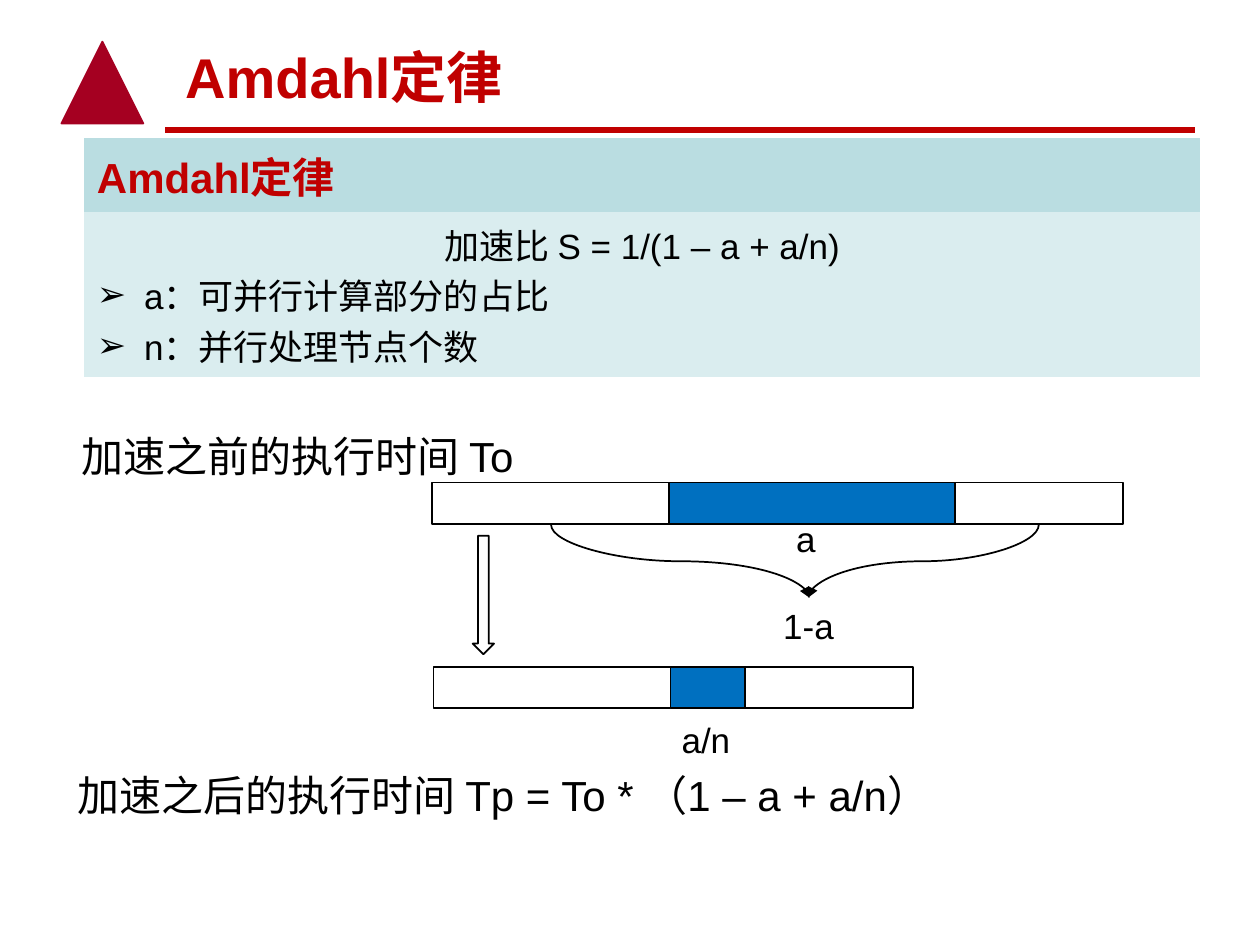
"""Build the slide on Amdahl's law with its formula table and timing bars."""
from lxml.etree import SubElement
from pptx import Presentation
from pptx.dml.color import RGBColor
from pptx.enum.shapes import MSO_CONNECTOR as CONN, MSO_SHAPE as SHAPE
from pptx.enum.text import MSO_ANCHOR as ANCHOR, MSO_AUTO_SIZE as AUTO, PP_ALIGN as ALIGN
from pptx.oxml.ns import qn
from pptx.util import Cm, Pt


def rgb(value):
    """Turn a hex string into a colour."""
    return RGBColor.from_string(value)


def write(p, text, color="000000", **fmt):
    """Add one formatted run to a paragraph."""
    r = p.add_run()
    r.text = text
    r.font.color.rgb = rgb(color)
    for name, value in {"name": "Arial", "bold": False, **fmt}.items():
        setattr(r.font, name, value)


prs = Presentation()
prs.slide_width, prs.slide_height = Cm(25.4), Cm(19.05)
s = prs.slides.add_slide(prs.slide_layouts[5])

title = s.shapes.title
box = {"left": Cm(3.48), "top": Cm(0.64), "width": Cm(20.32), "height": Cm(1.7)}
for name, value in box.items():
    setattr(title, name, value)
tf = title.text_frame
tf.vertical_anchor = ANCHOR.BOTTOM
tf.paragraphs[0].alignment = ALIGN.LEFT
write(tf.paragraphs[0], "Amdahl定律", "C00000", size=Pt(32), bold=True)

tbl = s.shapes.add_table(2, 1, Cm(1.7), Cm(2.79), Cm(22.5), Cm(4.6)).table
tbl._tbl.tblPr.find(qn("a:tableStyleId")).text = "{2D5ABB26-0587-4C30-8999-92F81FD0307C}"
for i, (height, fill) in enumerate([(1.42, "BADDE1"), (3.18, "DAEDEF")]):
    tbl.rows[i].height = Cm(height)
    cell = tbl.cell(i, 0)
    cell.fill.solid()
    cell.fill.fore_color.rgb = rgb(fill)
    cell.vertical_anchor = ANCHOR.MIDDLE
write(tbl.cell(0, 0).text_frame.paragraphs[0], "Amdahl定律", "C00000", size=Pt(24), bold=True)
tf = tbl.cell(1, 0).text_frame
p = tf.paragraphs[0]
p.alignment = ALIGN.CENTER
write(p, "加速比 S = 1/(1 – a + a/n)", size=Pt(20))
for text in ["a：可并行计算部分的占比", "n：并行处理节点个数"]:
    p = tf.add_paragraph()
    pPr = p._p.get_or_add_pPr()
    pPr.set("marL", str(Cm(0.95)))
    pPr.set("indent", str(-Cm(0.95)))
    SubElement(pPr, qn("a:buFont"), typeface="Arial")
    SubElement(pPr, qn("a:buChar"), char="➢")
    write(p, text, size=Pt(20))

shapes = [
    (SHAPE.ISOSCELES_TRIANGLE, 1.24, 0.84, 1.65, 1.65, "A50021", "A50021"),
    (SHAPE.DOWN_ARROW, 9.53, 10.8, 0.43, 2.39, None, "000000"),
]
for x, y, widths in [(8.71, 9.73, (4.78, 5.77, 3.38)), (8.74, 13.44, (4.78, 1.5, 3.38))]:
    for w, fill in zip(widths, (None, "0070C0", None)):
        shapes.append((SHAPE.RECTANGLE, x, y, w, 0.84, fill, "000000"))
        x += w
for kind, x, y, w, h, fill, line in shapes:
    sp = s.shapes.add_shape(kind, Cm(x), Cm(y), Cm(w), Cm(h))
    sp.shadow.inherit = False
    sp.line.color.rgb = rgb(line)
    sp.line.width = Pt(1)
    if fill:
        sp.fill.solid()
        sp.fill.fore_color.rgb = rgb(fill)
    else:
        sp.fill.background()

for kind, x1, y1, x2, y2, color, width, turn in [
    (CONN.STRAIGHT, 3.33, 2.62, 24.08, 2.62, "C00000", 3, 0),
    (CONN.CURVE, 14.45, 8.71, 12.98, 13.92, "000000", 1, 270),
    (CONN.CURVE, 17.88, 8.99, 19.35, 13.64, "000000", 1, 90),
]:
    sp = s.shapes.add_connector(kind, Cm(x1), Cm(y1), Cm(x2), Cm(y2))
    sp.line.color.rgb = rgb(color)
    sp.line.width = Pt(width)
    if turn:
        sp._element.spPr.xfrm.set("rot", str(turn * 60000))
        SubElement(sp.line._get_or_add_ln(), qn("a:tailEnd"), type="triangle")
    SubElement(sp._element.spPr, qn("a:effectLst"))

for text, x, y, w, h, size, wrap in [
    ("a", 15.8, 10.31, 0.91, 1.12, 20, False),
    ("1-a", 15.54, 12.07, 1.55, 1.12, 20, False),
    ("a/n", 13.49, 14.35, 1.5, 1.12, 20, False),
    ("加速之前的执行时间 To", 1.4, 8.56, 13.23, 1.27, 24, True),
    ("加速之后的执行时间 Tp = To * （1 – a + a/n）", 1.32, 15.39, 18.92, 1.27, 24, True),
]:
    tf = s.shapes.add_textbox(Cm(x), Cm(y), Cm(w), Cm(h)).text_frame
    for name, value in {"word_wrap": wrap, "auto_size": AUTO.SHAPE_TO_FIT_TEXT}.items():
        setattr(tf, name, value)
    write(tf.paragraphs[0], text, size=Pt(size))

prs.save("out.pptx")
